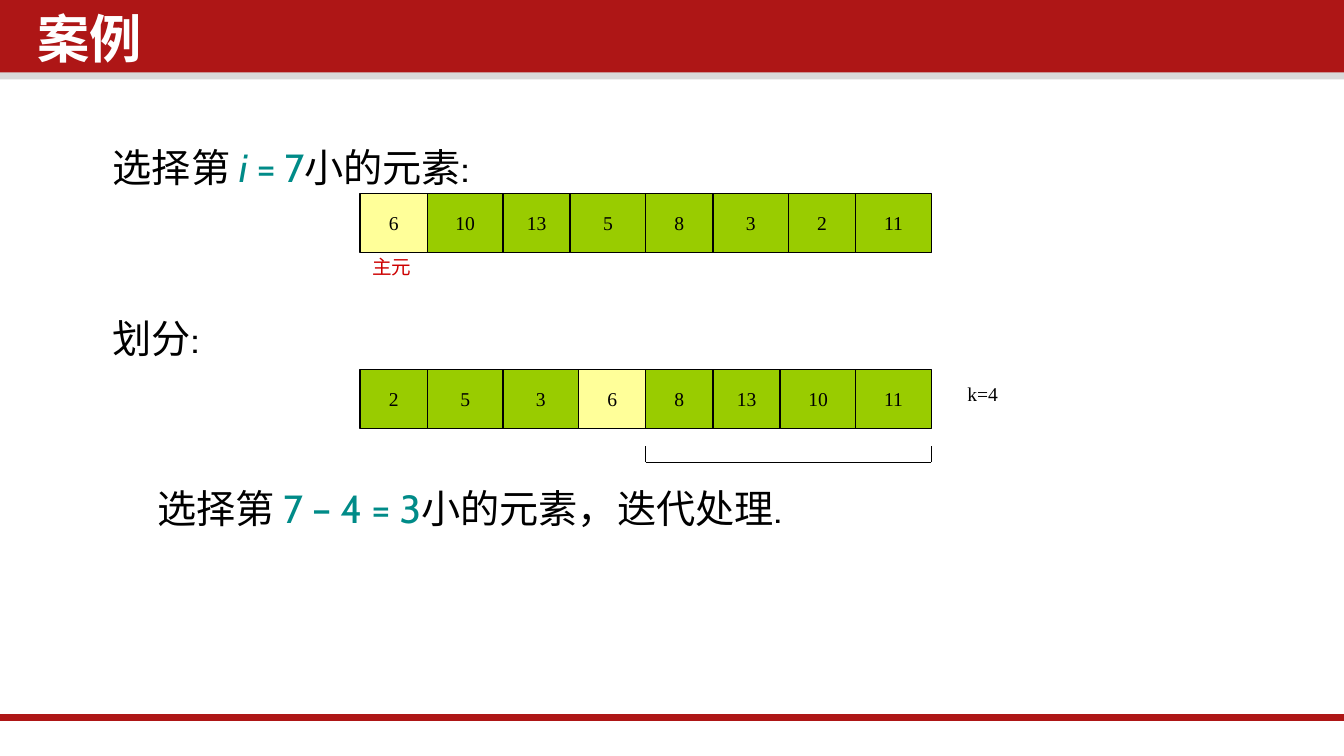
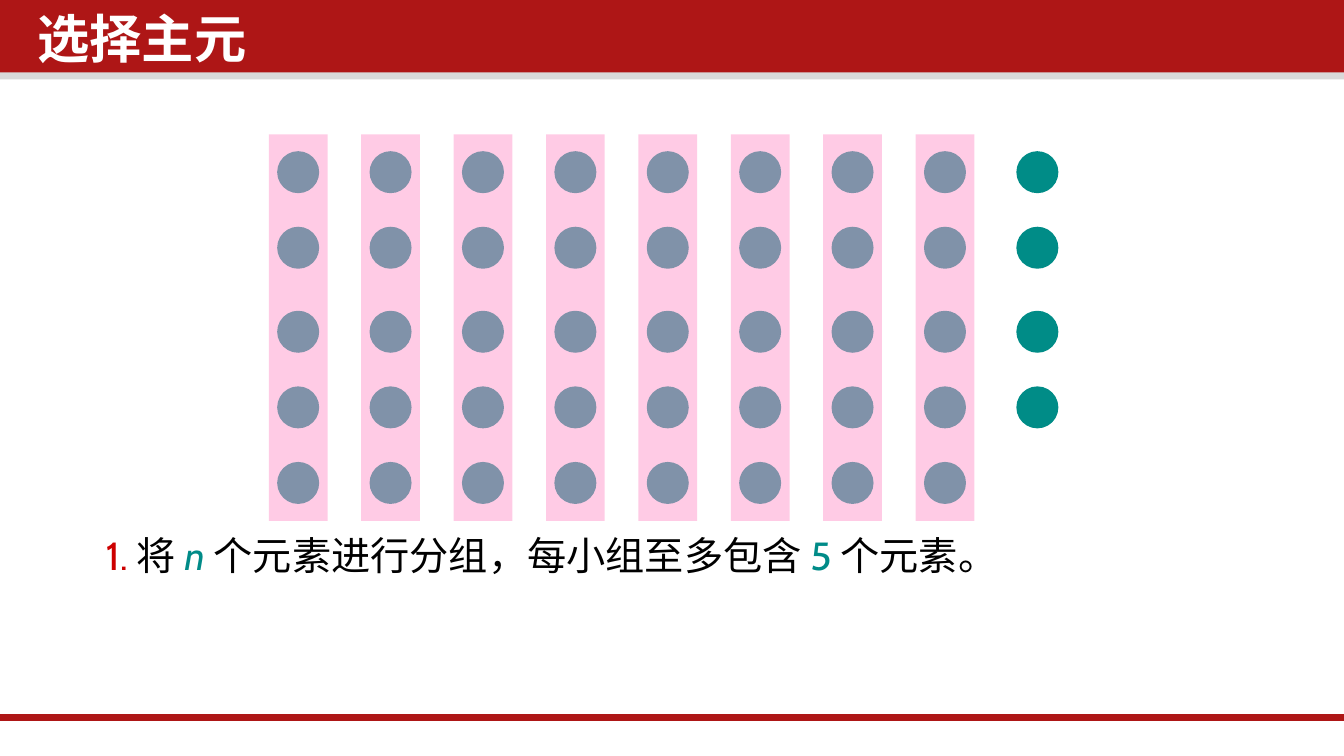
from dataclasses import dataclass
from itertools import product

from lxml import etree
from pptx import Presentation
from pptx.dml.color import RGBColor
from pptx.enum import shapes, text
from pptx.oxml import ns
from pptx.util import Inches, Pt

RED, GREY, WHITE, BLACK = "AE1616", "D9D9D9", "FFFFFF", "000000"
TEAL, DOT_TEAL, ACCENT_RED = "008B88", "008C87", "CD0000"
YELLOW, GREEN, PINK = "FFFF99", "99CC00", "FF99CC"
CJK, BODY, SERIF, CAMBRIA = "Noto Sans CJK SC", "Cabin", "Times New Roman", "Cambria"

SLIDE_WIDTH = 10
SLIDE_HEIGHT = SLIDE_WIDTH * 9 / 16

PIVOT = 6
WIDE_NUMBERS = {3, 5, 10, 11}
ROW_LEFT, CELL_HEIGHT = 2.68, 0.44

GROUP_COUNT, GROUP_PITCH = 8, 11 / 16
DOT_SIZE = 5 / 16
DOT_TOPS = [sixteenths / 16 for sixteenths in (18, 27, 37, 46, 55)]


@dataclass(frozen=True)
class Box:
    left: float
    top: float
    width: float
    height: float

    def lengths(self) -> list:
        return [Inches(n) for n in (self.left, self.top, self.width, self.height)]


@dataclass(frozen=True)
class Span:
    content: str
    color: str = BLACK
    size: float = 21
    font: str = BODY
    bold: bool = False
    italic: bool = False


@dataclass(frozen=True)
class Statement:
    spans: tuple
    indent: float = 0


@dataclass(frozen=True)
class NumberRow:
    top: float
    numbers: tuple

    def left_of(self, index: int) -> float:
        return ROW_LEFT + sum(map(cell_width, self.numbers[:index]))


def cell_width(number: int) -> float:
    return 9 / 16 if number in WIDE_NUMBERS else 0.5


def rgb(color: str) -> RGBColor:
    return RGBColor.from_string(color)


def add_spans(paragraph, spans: tuple) -> None:
    for span in spans:
        run = paragraph.add_run()
        run.text = span.content
        font = run.font
        font.size, font.name = Pt(span.size), span.font
        font.bold, font.italic = span.bold, span.italic
        font.color.rgb = rgb(span.color)
        east_asian = etree.SubElement(run._r.get_or_add_rPr(), ns.qn("a:ea"))
        east_asian.set("typeface", CJK)


def add_text(slide, box: Box, spans: tuple, wrap: bool = True):
    frame = slide.shapes.add_textbox(*box.lengths()).text_frame
    frame.word_wrap = wrap
    add_spans(frame.paragraphs[0], spans)
    return frame


def add_spaced_text(slide, box: Box, spans: tuple):
    frame = add_text(slide, box, spans)
    paragraph = frame.paragraphs[0]
    paragraph.line_spacing, paragraph.space_before = 0.9, Pt(7.5)
    return frame


def add_statements(slide, box: Box, first: Statement, *others: Statement):
    frame = add_spaced_text(slide, box, first.spans)
    for statement in others:
        paragraph = frame.add_paragraph()
        paragraph.line_spacing, paragraph.space_before = Pt(23), Pt(68)
        paragraph._p.get_or_add_pPr().set("marL", str(Inches(statement.indent)))
        add_spans(paragraph, statement.spans)
    return frame


def add_filled(slide, kind, box: Box, fill: str, line: str = "", opacity: int = 100):
    shape = slide.shapes.add_shape(kind, *box.lengths())
    shape.shadow.inherit = False
    shape.fill.solid()
    shape.fill.fore_color.rgb = rgb(fill)
    if opacity < 100:
        color = shape._element.spPr.find(".//" + ns.qn("a:srgbClr"))
        etree.SubElement(color, ns.qn("a:alpha")).set("val", str(opacity * 1000))
    if line:
        shape.line.color.rgb = rgb(line)
        shape.line.width = Pt(0.75)
    else:
        shape.line.fill.background()
    return shape


def add_line(slide, start: tuple, end: tuple, color: str = BLACK, width: float = 0.75) -> None:
    points = [Inches(n) for n in (*start, *end)]
    connector = slide.shapes.add_connector(shapes.MSO_CONNECTOR.STRAIGHT, *points)
    connector.line.color.rgb = rgb(color)
    connector.line.width = Pt(width)
    etree.SubElement(connector._element.spPr, ns.qn("a:effectLst"))


def add_titled_slide(presentation, title: str):
    slide = presentation.slides.add_slide(presentation.slide_layouts[6])
    rectangle = shapes.MSO_SHAPE.RECTANGLE
    add_filled(slide, rectangle, Box(0, 0.5, SLIDE_WIDTH, 0.09), GREY)
    add_filled(slide, rectangle, Box(0, 0, SLIDE_WIDTH, 0.54), RED)
    add_line(slide, (-0.02, 5.34), (SLIDE_WIDTH, 5.34), RED, 4)
    title_span = Span(title, WHITE, 28, CJK, bold=True)
    frame = add_spaced_text(slide, Box(0.21, 0.06, 7.64, 0.59), (title_span,))
    frame.margin_left = frame.margin_right = Inches(0.07)
    frame.margin_top = frame.margin_bottom = Inches(0.04)
    return slide


def add_number_row(slide, row: NumberRow) -> None:
    for index, number in enumerate(row.numbers):
        box = Box(row.left_of(index), row.top, cell_width(number), CELL_HEIGHT)
        fill = YELLOW if number == PIVOT else GREEN
        shape = add_filled(slide, shapes.MSO_SHAPE.RECTANGLE, box, fill, BLACK)
        frame = shape.text_frame
        frame.word_wrap = False
        frame.vertical_anchor = text.MSO_ANCHOR.MIDDLE
        paragraph = frame.paragraphs[0]
        paragraph.alignment = text.PP_ALIGN.CENTER
        add_spans(paragraph, (Span(str(number), size=10.5, font=SERIF),))


def add_bracket(slide, left: float, right: float, top: float, bottom: float) -> None:
    add_line(slide, (left, bottom), (right, bottom))
    for side in (left, right):
        add_line(slide, (side, bottom), (side, top))


def build_example(presentation) -> None:
    slide = add_titled_slide(presentation, "案例")
    add_statements(
        slide,
        Box(0.74, 1.06, 8.62, 3.57),
        Statement((Span("选择第 "), Span("i ", TEAL, italic=True),
                   Span("= 7", TEAL), Span("小的元素:"))),
        Statement((Span("划分:"),)),
        Statement((Span("选择第 ", font=CAMBRIA), Span("7 – 4 = 3", TEAL),
                   Span("小的元素，迭代处理.")), indent=0.33),
    )
    initial = NumberRow(1.44, (6, 10, 13, 5, 8, 3, 2, 11))
    partitioned = NumberRow(2.75, (2, 5, 3, 6, 8, 13, 10, 11))
    for row in (initial, partitioned):
        add_number_row(slide, row)
    after_pivot = partitioned.numbers.index(PIVOT) + 1
    row_end = partitioned.left_of(len(partitioned.numbers))
    add_bracket(slide, partitioned.left_of(after_pivot), row_end, 3.32, 3.44)
    pivot_label = Span("主元", ACCENT_RED, 10.5, SERIF)
    add_text(slide, Box(2.67, 1.85, 0.5, 0.28), (pivot_label,), wrap=False)
    rank_label = Span("k=4", size=10.5, font=SERIF)
    add_text(slide, Box(7.1, 2.79, 0.43, 0.28), (rank_label,), wrap=False)


def build_pivot_choice(presentation) -> None:
    slide = add_titled_slide(presentation, "选择主元")
    step = Statement((
        Span("1. ", ACCENT_RED), Span("将 "), Span("n ", TEAL, italic=True),
        Span("个元素进行分组，每小组至多包含 "), Span("5 ", TEAL), Span("个元素。")))
    frame = add_statements(slide, Box(0.69, 1.5, 8.62, 3.57), step)
    frame.margin_top = Inches(2.49)
    full_groups = list(product(range(GROUP_COUNT), DOT_TOPS))
    partial_group = [(GROUP_COUNT, top) for top in DOT_TOPS[:-1]]
    for column, top in full_groups + partial_group:
        dot = Box(33 / 16 + column * GROUP_PITCH, top, DOT_SIZE, DOT_SIZE)
        add_filled(slide, shapes.MSO_SHAPE.OVAL, dot, DOT_TEAL)
    for column in range(GROUP_COUNT):
        band = Box(2 + column * GROUP_PITCH, 1, 7 / 16, 23 / 8)
        add_filled(slide, shapes.MSO_SHAPE.RECTANGLE, band, PINK, opacity=50)


def main() -> None:
    presentation = Presentation()
    presentation.slide_width = Inches(SLIDE_WIDTH)
    presentation.slide_height = Inches(SLIDE_HEIGHT)
    build_example(presentation)
    build_pivot_choice(presentation)
    presentation.save("out.pptx")


if __name__ == "__main__":
    main()
